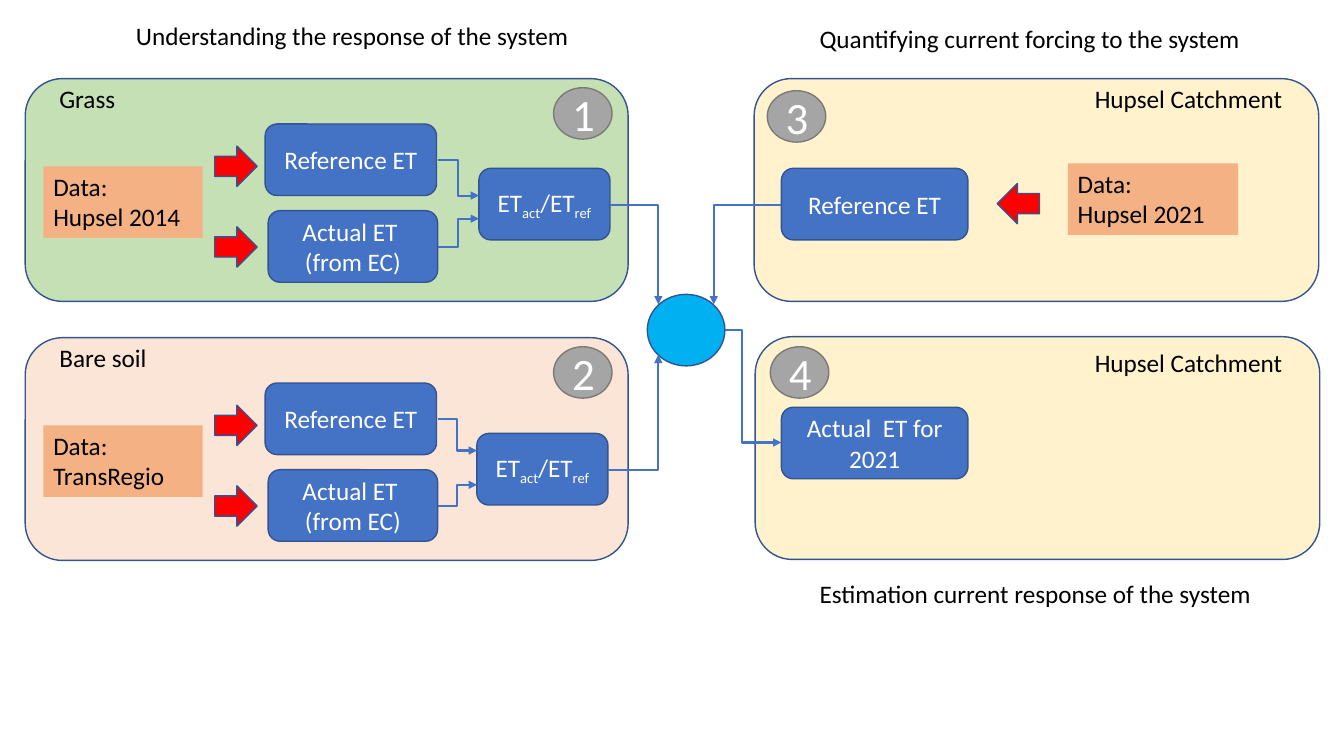
from lxml.etree import SubElement
from pptx import Presentation
from pptx.dml.color import RGBColor
from pptx.enum.shapes import MSO_CONNECTOR as CONNECTOR, MSO_SHAPE as SHAPE
from pptx.enum.text import MSO_ANCHOR as ANCHOR, MSO_AUTO_SIZE as AUTO_SIZE, PP_ALIGN as ALIGN
from pptx.oxml.ns import qn
from pptx.util import Emu, Pt

EMU_PER_PX = 9144  # 100 px to the inch
COLORS = {
    "grass": "C5E0B4", "soil": "FBE5D6", "catchment": "FFF2CC",
    "step": "4472C4", "outline": "325491", "data": "F4B183",
    "arrow": "FF0000", "hub": "00B0F0", "badge": "A5A5A5",
    "badge outline": "7A7A7A", "dark": "000000", "light": "FFFFFF",
}
RATIO = [("ET", False), ("act", True), ("/ET", False), ("ref", True)]


def px(length):
    return Emu(length * EMU_PER_PX)


def color(name):
    return RGBColor.from_string(COLORS[name])


class Diagram:
    """Draws the styled elements of a flow diagram on one slide."""

    def __init__(self, slide, font="Calibri", size=18):
        self.slide = slide
        self.font = font
        self.size = size

    def add_runs(self, shape, runs, ink, size=None, align=ALIGN.LEFT):
        """Fill a shape with (text, is_subscript) runs; a newline is a line break."""
        paragraph = shape.text_frame.paragraphs[0]
        paragraph.alignment = align
        for text, is_subscript in runs:
            for index, line in enumerate(text.split("\n")):
                if index:
                    paragraph.add_line_break()
                run = paragraph.add_run()
                run.text = line
                run.font.name = self.font
                run.font.size = Pt(size or self.size)
                run.font.color.rgb = color(ink)
                if is_subscript:
                    run.font._element.set("baseline", "-25000")

    def block(self, kind, left, top, width, height, fill, outline="outline"):
        shape = self.slide.shapes.add_shape(kind, px(left), px(top), px(width), px(height))
        shape.shadow.inherit = False
        shape.fill.solid()
        shape.fill.fore_color.rgb = color(fill)
        if outline:
            shape.line.color.rgb = color(outline)
            shape.line.width = Pt(1)
        else:
            shape.line.fill.background()
        return shape

    def panel(self, left, top, width, fill):
        self.block(SHAPE.ROUNDED_RECTANGLE, left, top, width, 221, fill)

    def step(self, left, top, width, runs):
        shape = self.block(SHAPE.ROUNDED_RECTANGLE, left, top, width, 71, "step")
        shape.text_frame.vertical_anchor = ANCHOR.MIDDLE
        self.add_runs(shape, runs, "light", align=ALIGN.CENTER)
        return shape

    def data(self, left, top, width, source):
        shape = self.block(SHAPE.RECTANGLE, left, top, width, 71, "data", outline=None)
        shape.text_frame.vertical_anchor = ANCHOR.TOP
        self.add_runs(shape, [(f"Data: \n{source}", False)], "dark")

    def badge(self, left, top, number):
        shape = self.block(SHAPE.OVAL, left, top, 58, 51, "badge", "badge outline")
        shape.text_frame.vertical_anchor = ANCHOR.MIDDLE
        self.add_runs(shape, [(number, False)], "light", size=32, align=ALIGN.CENTER)

    def arrow(self, left, top, rotation=0):
        self.block(SHAPE.RIGHT_ARROW, left, top, 42, 40, "arrow").rotation = rotation

    def label(self, left, top, width, text):
        box = self.slide.shapes.add_textbox(px(left), px(top), px(width), px(40))
        box.text_frame.word_wrap = False
        box.text_frame.auto_size = AUTO_SIZE.SHAPE_TO_FIT_TEXT
        self.add_runs(box, [(text, False)], "dark")

    def link(self, start, end, begin_site=None, end_site=None, bends=2, bend_at=50000):
        """Draw an elbow arrow; a site is a (shape, connection index) pair to join."""
        connector = self.slide.shapes.add_connector(
            CONNECTOR.ELBOW, *(px(length) for length in (*start, *end)))
        connector.line.color.rgb = color("step")
        connector.line.width = Pt(1.5)
        properties = connector._element.spPr
        SubElement(properties.find(qn("a:ln")), qn("a:tailEnd"), type="triangle")
        SubElement(properties, qn("a:effectLst"))
        geometry = properties.find(qn("a:prstGeom"))
        geometry.set("prst", f"bentConnector{bends + 1}")
        if bends == 2:
            SubElement(geometry.find(qn("a:avLst")), qn("a:gd"),
                       name="adj1", fmla=f"val {bend_at}")
        joints = connector._element.find(f".//{qn('p:cNvCxnSpPr')}")
        # An ellipse has eight connection sites, so joints are set directly.
        for tag, site in (("a:stCxn", begin_site), ("a:endCxn", end_site)):
            if site:
                shape, index = site
                SubElement(joints, qn(tag), id=str(shape.shape_id), idx=str(index))

    def response_panel(self, top, fill, title, source, number, ratio_at, inlets):
        """Draw a left-hand panel and return its ratio step."""
        self.panel(25, top, 598, fill)
        self.label(49, top, 108, title)
        self.data(43, top + 87, 158, source)
        reference = self.step(263, top + 45, 170, [("Reference ET", False)])
        actual = self.step(266, top + 131, 168, [("Actual ET \n(from EC)", False)])
        ratio_left, ratio_top = ratio_at
        ratio = self.step(ratio_left, ratio_top, 130, RATIO)
        for arrow_top in (top + 67, top + 147):
            self.arrow(213, arrow_top)
        for shape, offset, inlet in zip((reference, actual), (81, 167), inlets):
            self.link((434, top + offset), (ratio_left, inlet), begin_site=(shape, 3))
        self.badge(549, top + 9, number)
        return ratio


def build(diagram):
    diagram.label(125, 15, 454, "Understanding the response of the system")
    diagram.label(803, 18, 442, "Quantifying current forcing to the system")
    diagram.label(803, 569, 463, "Estimation current response of the system")

    grass_ratio = diagram.response_panel(
        78, "grass", "Grass", "Hupsel 2014", "1", (475, 167), (194, 217))
    soil_ratio = diagram.response_panel(
        335, "soil", "Bare soil", "TransRegio", "2", (473, 430), (447, 481))

    for left, top, label_top in ((748, 78, 78), (749, 334, 340)):
        diagram.panel(left, top, 560, "catchment")
        diagram.label(1076, label_top, 208, "Hupsel Catchment")
    diagram.badge(761, 90, "3")
    diagram.badge(764, 344, "4")
    diagram.data(1059, 162, 169, "Hupsel 2021")
    diagram.arrow(989, 182, rotation=180)
    reference = diagram.step(775, 167, 185, [("Reference ET", False)])
    estimate = diagram.step(775, 404, 185, [("Actual  ET for 2021", False)])

    hub = diagram.block(SHAPE.OVAL, 642, 292, 77, 71, "hub")
    diagram.link((605, 203), (653, 302), (grass_ratio, 3), (hub, 1), bends=1)
    diagram.link((603, 466), (653, 352), (soil_ratio, 3), (hub, 3), bends=1)
    diagram.link((775, 203), (708, 302), (reference, 1), (hub, 7), bends=1)
    diagram.link((719, 327), (775, 439), (hub, 6), (estimate, 1), bend_at=29700)


def main():
    presentation = Presentation()
    presentation.slide_width, presentation.slide_height = px(1333), px(750)
    blank_layout = presentation.slide_layouts[6]
    build(Diagram(presentation.slides.add_slide(blank_layout)))
    presentation.save("out.pptx")


if __name__ == "__main__":
    main()
